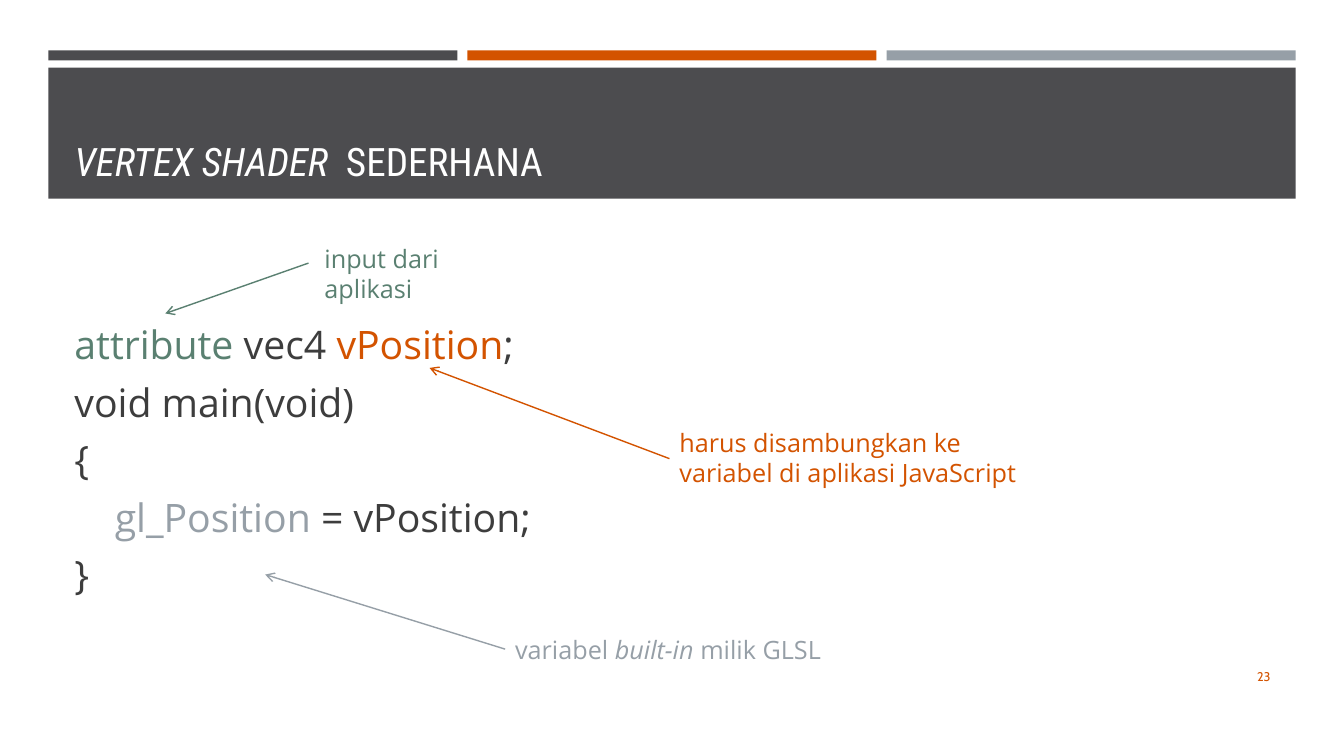
from lxml import etree
from pptx import Presentation
from pptx.dml.color import RGBColor
from pptx.enum.shapes import MSO_CONNECTOR, MSO_SHAPE
from pptx.enum.text import MSO_ANCHOR, MSO_AUTO_SIZE, PP_ALIGN
from pptx.oxml.ns import qn
from pptx.util import Inches, Pt

RECT = MSO_SHAPE.RECTANGLE
LINE = MSO_CONNECTOR.STRAIGHT
TOP, MID, LOW = MSO_ANCHOR.TOP, MSO_ANCHOR.MIDDLE, MSO_ANCHOR.BOTTOM
LEFT, RIGHT = PP_ALIGN.LEFT, PP_ALIGN.RIGHT
FIXED = MSO_AUTO_SIZE.NONE

DARK = RGBColor(0x4C, 0x4C, 0x4F)
ORANGE = RGBColor(0xD3, 0x53, 0x00)
GREY = RGBColor(0x96, 0x9F, 0xA7)
GREEN = RGBColor(0x5A, 0x80, 0x71)
INK = RGBColor(0x3D, 0x3D, 0x3D)
WHITE = RGBColor(0xFF, 0xFF, 0xFF)

CODE = [
    (0, [("attribute", GREEN), (" vec4 ", INK), ("vPosition", ORANGE), (";", INK)]),
    (0, [("void main(void)", INK)]),
    (0, [("{", INK)]),
    (0.4, [("gl_Position", GREY), (" = vPosition;", INK)]),
    (0, [("}", INK)]),
]
NOTES = [
    ((3.12, 2.36, 2.1, 0.71), GREEN, [("input dari aplikasi", False)],
     (3.06, 2.61, 1.64, 3.11)),
    ((6.64, 4.19, 3.58, 0.71), ORANGE,
     [("harus disambungkan ke variabel di aplikasi JavaScript", False)],
     (6.64, 4.55, 4.26, 3.65)),
    ((5.01, 6.24, 3.58, 0.4), GREY,
     [("variabel ", False), ("built-in", True), (" milik GLSL", False)],
     (5.01, 6.44, 2.63, 5.7)),
]


def inches(box):
    """Turn a tuple of numbers into lengths."""
    return [Inches(n) for n in box]


def style(font, name, size, color=None):
    """Set the face, size and colour of a font."""
    font.name, font.size = name, Pt(size)
    if color is not None:
        font.color.rgb = color


def add_bar(slide, box, color):
    """Draw a plain filled bar."""
    bar = slide.shapes.add_shape(RECT, *inches(box))
    bar.shadow.inherit = False
    bar.fill.solid()
    bar.fill.fore_color.rgb = color
    bar.line.fill.background()


def add_box(slide, box, anchor=TOP):
    """Add a wrapping text box and return its frame."""
    frame = slide.shapes.add_textbox(*inches(box)).text_frame
    frame.word_wrap = True
    frame.vertical_anchor = anchor
    return frame


def add_head(slide, box):
    """Draw the three strips, the band and the title in it."""
    x, y, w, h = box
    gap = 0.1
    wide = (w - 2 * gap) / 3
    for i, color in enumerate((DARK, ORANGE, GREY)):
        add_bar(slide, (x + i * (wide + gap), y, wide, 0.1), color)
    add_bar(slide, (x, y + 0.17, w, h - 0.17), DARK)
    title = slide.shapes.title
    slide.shapes._spTree.append(title._element)
    title.left, title.top, title.width, title.height = inches(
        (x + 0.16, y + 0.27, w - 0.31, h - 0.36))
    frame = title.text_frame
    frame.auto_size, frame.vertical_anchor = FIXED, LOW
    para = frame.paragraphs[0]
    para.alignment = LEFT
    style(para.font, "Roboto Condensed", 28, WHITE)
    for text, slant in (("VERTEX SHADER ", True), (" SEDERHANA", False)):
        run = para.add_run()
        run.text, run.font.italic = text, slant


def add_code(slide, box):
    """Write the shader listing with coloured words."""
    frame = add_box(slide, box)
    for i, (indent, parts) in enumerate(CODE):
        para = frame.add_paragraph() if i else frame.paragraphs[0]
        para.space_after = Pt(7.5)
        para._p.get_or_add_pPr().set("marL", str(Inches(indent)))
        style(para.font, "Open Sans", 28)
        for text, color in parts:
            run = para.add_run()
            run.text, run.font.color.rgb = text, color


def add_arrow(slide, ends, color):
    """Draw a thin line with an open arrowhead at its end."""
    arrow = slide.shapes.add_connector(LINE, *inches(ends))
    arrow.line.color.rgb, arrow.line.width = color, Pt(1)
    etree.SubElement(arrow.line._get_or_add_ln(), qn("a:tailEnd"), type="arrow")
    etree.SubElement(arrow._element.spPr, qn("a:effectLst"))


def add_note(slide, box, color, parts, ends):
    """Add a remark and the arrow from it to the code."""
    add_arrow(slide, ends, color)
    para = add_box(slide, box).paragraphs[0]
    style(para.font, "Open Sans", 18, color)
    for text, slant in parts:
        run = para.add_run()
        run.text, run.font.italic = text, slant


def add_page(slide, box):
    """Write the page number."""
    para = add_box(slide, box, MID).paragraphs[0]
    para.text, para.alignment = "23", RIGHT
    style(para.font, "Cabin", 9, ORANGE)


def main():
    """Build the slide and save it."""
    deck = Presentation()
    deck.slide_width, deck.slide_height = Inches(13.33), Inches(7.5)
    slide = deck.slides.add_slide(deck.slide_layouts[5])
    add_head(slide, (0.48, 0.5, 12.37, 1.47))
    add_code(slide, (0.64, 3.13, 12.06, 3.27))
    add_page(slide, (11.55, 6.51, 1.15, 0.4))
    for note in NOTES:
        add_note(slide, *note)
    deck.save("out.pptx")


main()
